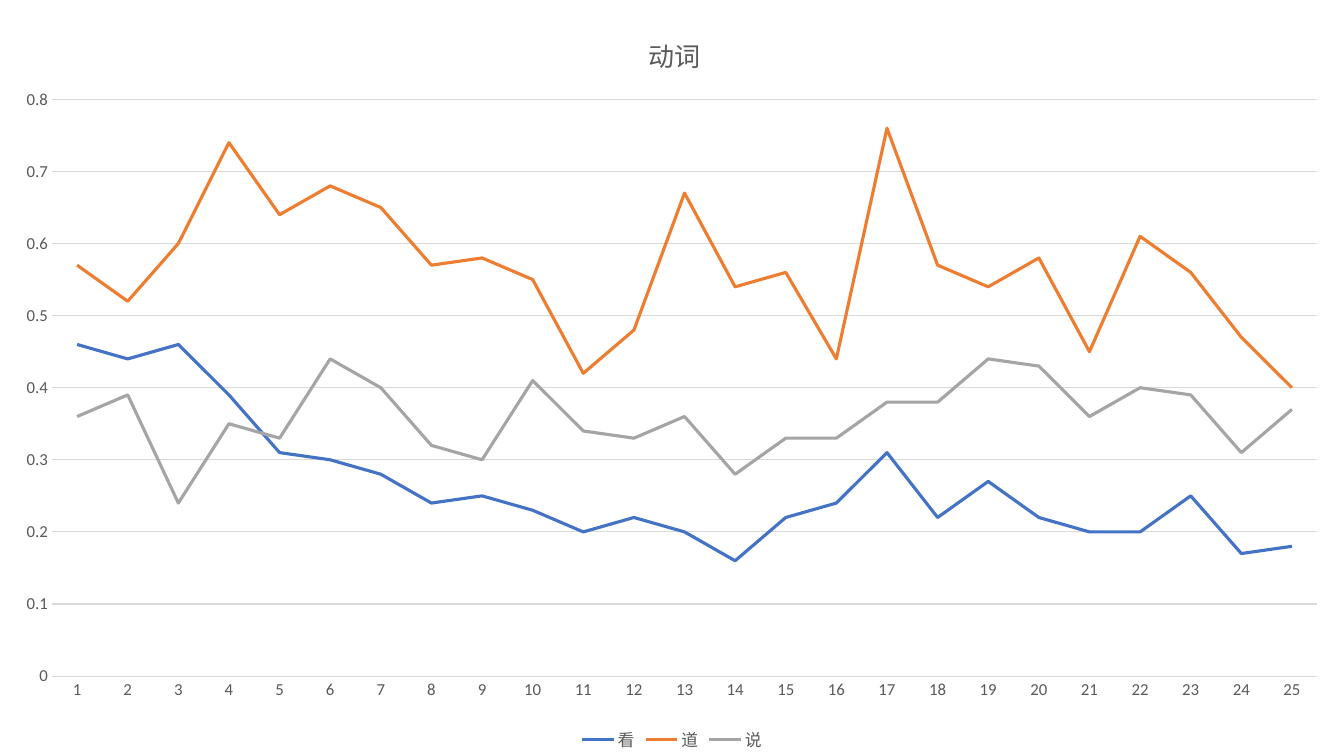
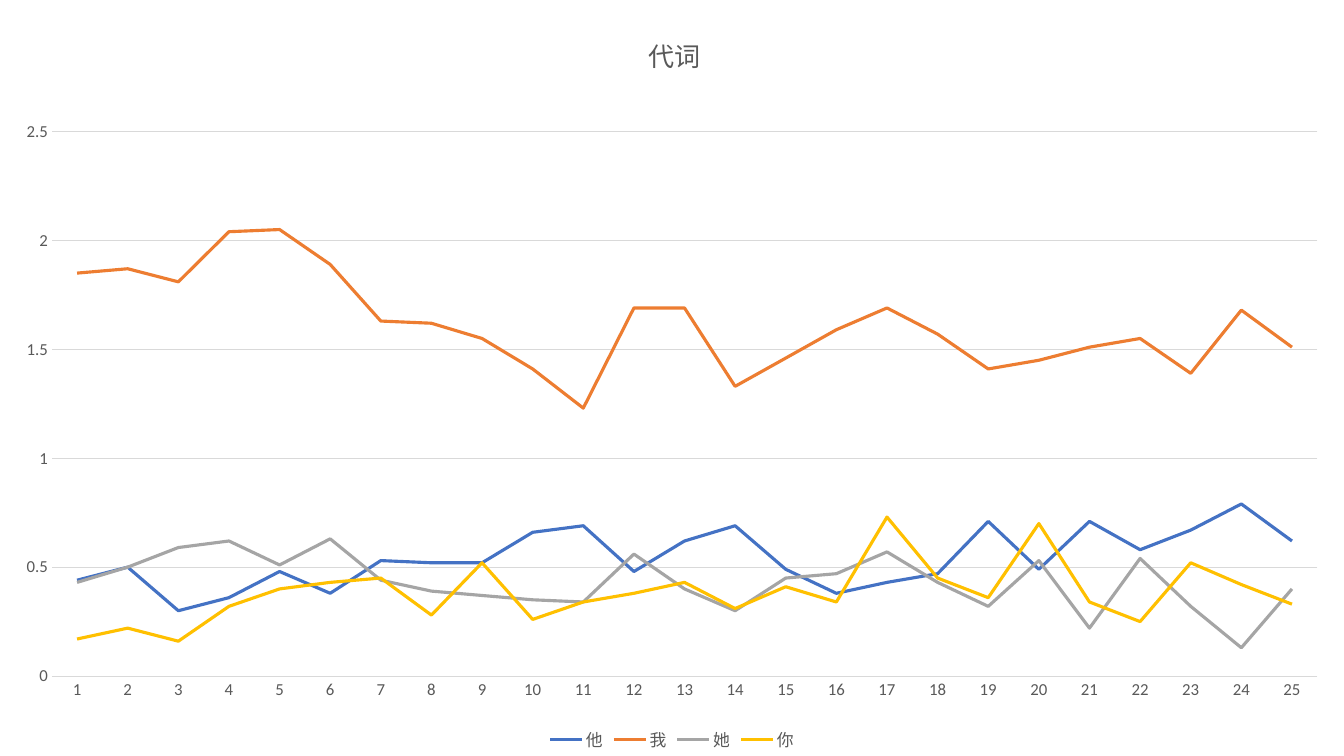
from lxml import etree
from pptx import Presentation
from pptx.chart.data import CategoryChartData
from pptx.dml.color import RGBColor
from pptx.enum.chart import XL_CHART_TYPE, XL_LEGEND_POSITION, XL_TICK_MARK
from pptx.oxml.ns import qn
from pptx.util import Pt

LINE = XL_CHART_TYPE.LINE
BOTTOM = XL_LEGEND_POSITION.BOTTOM
NONE = XL_TICK_MARK.NONE
WIDE, HIGH = 960, 540
LEFT, RIGHT, BASE = 37, 941, 483
FACE = "Calibri"
HUES = {"blue": "4472C4", "orange": "ED7D31", "gray": "A5A5A5",
        "gold": "FFC000", "text": "595959", "rule": "D9D9D9"}

CHARTS = [
    {"title": "动词", "top": 71, "max": 0.8, "step": 0.1, "rows": [
        ("看", "blue", [0.46, 0.44, 0.46, 0.39, 0.31, 0.3, 0.28, 0.24, 0.25,
                       0.23, 0.2, 0.22, 0.2, 0.16, 0.22, 0.24, 0.31, 0.22,
                       0.27, 0.22, 0.2, 0.2, 0.25, 0.17, 0.18]),
        ("道", "orange", [0.57, 0.52, 0.6, 0.74, 0.64, 0.68, 0.65, 0.57, 0.58,
                         0.55, 0.42, 0.48, 0.67, 0.54, 0.56, 0.44, 0.76, 0.57,
                         0.54, 0.58, 0.45, 0.61, 0.56, 0.47, 0.4]),
        ("说", "gray", [0.36, 0.39, 0.24, 0.35, 0.33, 0.44, 0.4, 0.32, 0.3,
                       0.41, 0.34, 0.33, 0.36, 0.28, 0.33, 0.33, 0.38, 0.38,
                       0.44, 0.43, 0.36, 0.4, 0.39, 0.31, 0.37])]},
    {"title": "代词", "top": 94, "max": 2.5, "step": 0.5, "rows": [
        ("他", "blue", [0.44, 0.5, 0.3, 0.36, 0.48, 0.38, 0.53, 0.52, 0.52,
                       0.66, 0.69, 0.48, 0.62, 0.69, 0.49, 0.38, 0.43, 0.47,
                       0.71, 0.49, 0.71, 0.58, 0.67, 0.79, 0.62]),
        ("我", "orange", [1.85, 1.87, 1.81, 2.04, 2.05, 1.89, 1.63, 1.62, 1.55,
                         1.41, 1.23, 1.69, 1.69, 1.33, 1.46, 1.59, 1.69, 1.57,
                         1.41, 1.45, 1.51, 1.55, 1.39, 1.68, 1.51]),
        ("她", "gray", [0.43, 0.5, 0.59, 0.62, 0.51, 0.63, 0.44, 0.39, 0.37,
                       0.35, 0.34, 0.56, 0.4, 0.3, 0.45, 0.47, 0.57, 0.43,
                       0.32, 0.53, 0.22, 0.54, 0.32, 0.13, 0.4]),
        ("你", "gold", [0.17, 0.22, 0.16, 0.32, 0.4, 0.43, 0.45, 0.28, 0.52,
                       0.26, 0.34, 0.38, 0.43, 0.31, 0.41, 0.34, 0.73, 0.45,
                       0.36, 0.7, 0.34, 0.25, 0.52, 0.42, 0.33])]},
]


def write(frame, text, size=12, hue="text", bold=False):
    frame.text = text
    font = frame.paragraphs[0].runs[0].font
    font.name, font.size, font.bold = FACE, Pt(size), bold
    font.color.rgb = RGBColor.from_string(HUES[hue])


def place(item, after, **spots):
    for old in item.findall(qn("c:layout")):
        item.remove(old)
    layout = etree.Element(qn("c:layout"))
    manual = etree.SubElement(layout, qn("c:manualLayout"))
    for name, value in spots.items():
        etree.SubElement(manual, qn("c:" + name)).set("val", str(value))
    item.insert(after, layout)


deck = Presentation()
deck.slide_width, deck.slide_height = Pt(WIDE), Pt(HIGH)

for plan in CHARTS:
    slide = deck.slides.add_slide(deck.slide_layouts[6])
    data = CategoryChartData()
    data.categories = [str(n) for n in range(1, 26)]
    for name, hue, values in plan["rows"]:
        data.add_series(name, values)
    chart = slide.shapes.add_chart(LINE, 0, 0, Pt(WIDE), Pt(HIGH), data).chart

    chart.font.name, chart.font.size = FACE, Pt(12)
    chart.font.color.rgb = RGBColor.from_string(HUES["text"])
    write(chart.chart_title.text_frame, plan["title"], size=18.6)
    chart.chart_title.include_in_layout = False
    place(chart.chart_title._element, 1, xMode="edge", yMode="edge",
          x=460 / WIDE, y=20.5 / HIGH)
    chart.has_legend = True
    chart.legend.position = BOTTOM
    chart.legend.include_in_layout = False

    plot = chart.plots[0]
    plot.vary_by_categories = False
    for line, (name, hue, values) in zip(plot.series, plan["rows"]):
        line.smooth = False
        line.format.line.width = Pt(2.25)
        line.format.line.color.rgb = RGBColor.from_string(HUES[hue])

    cats, vals = chart.category_axis, chart.value_axis
    for axis in (cats, vals):
        axis.major_tick_mark = axis.minor_tick_mark = NONE
    vals.minimum_scale, vals.maximum_scale = 0, plan["max"]
    vals.major_unit = plan["step"]
    vals.format.line.fill.background()
    for rule in (cats.format.line, vals.major_gridlines.format.line):
        rule.width = Pt(0.75)
        rule.color.rgb = RGBColor.from_string(HUES["rule"])

    area = chart._chartSpace.find(".//" + qn("c:plotArea"))
    place(area, 0, layoutTarget="inner", xMode="edge", yMode="edge",
          x=LEFT / WIDE, y=plan["top"] / HIGH,
          w=(RIGHT - LEFT) / WIDE, h=(BASE - plan["top"]) / HIGH)

deck.save("out.pptx")
